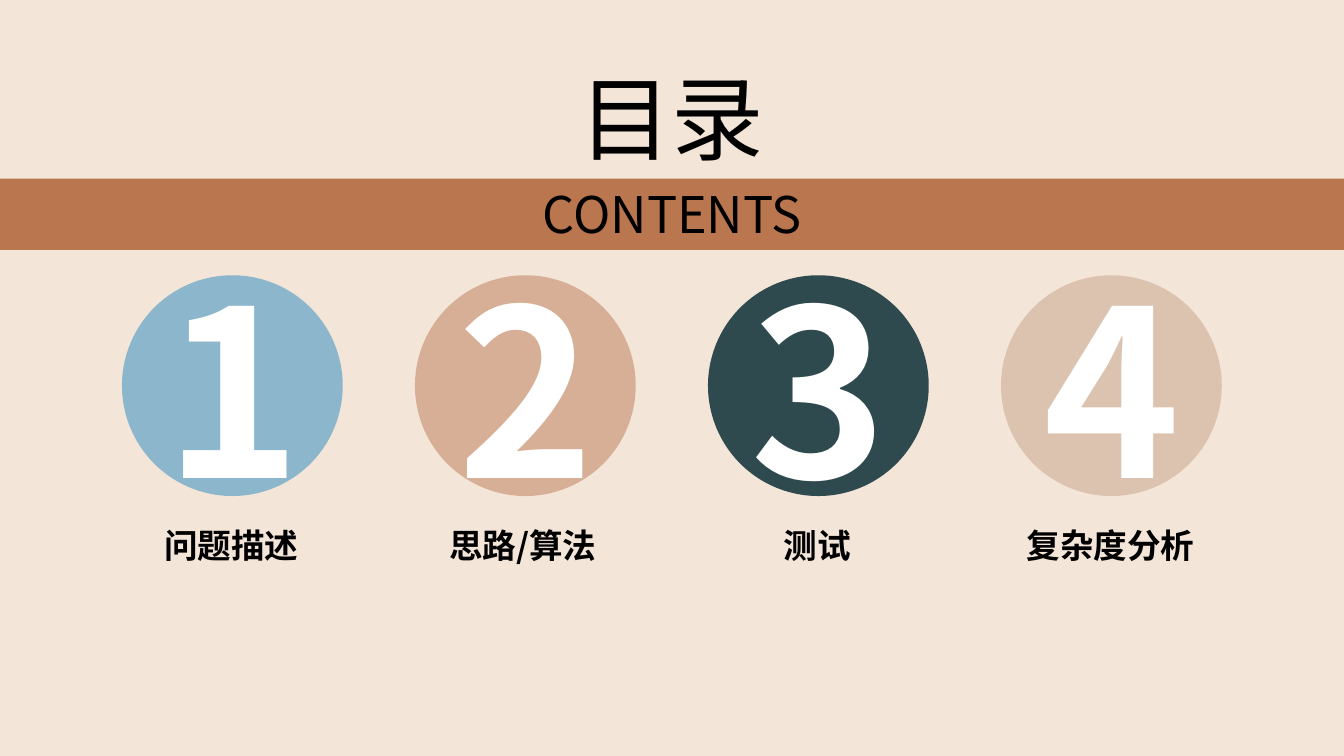
from lxml.etree import SubElement
from pptx import Presentation
from pptx.dml.color import RGBColor
from pptx.enum.shapes import MSO_SHAPE
from pptx.enum.text import MSO_ANCHOR, PP_ALIGN
from pptx.oxml.ns import qn
from pptx.util import Pt

# Content: number, label, label width, circle colour, opacity in percent
TITLE = "目录"
SUBTITLE = "CONTENTS"
CHAPTERS = [
    ("1", "问题描述", 111.6, "blue", 100),
    ("2", "思路/算法", 123.1, "rust", 48),
    ("3", "测试", 63.4, "teal", 100),
    ("4", "复杂度分析", 135.4, "sand", 48),
]
COLORS = {
    "background": "F3E5D8",
    "blue": "8BB6CB",
    "rust": "BA764F",
    "teal": "2E4A4E",
    "sand": "C5A086",
    "black": "000000",
    "white": "FFFFFF",
}
FONT = "Noto Sans CJK SC"

# Layout in points
SLIDE_WIDTH, SLIDE_HEIGHT = 960, 540
CIRCLE_SIZE, CIRCLE_TOP = 157.7, 196.6
CIRCLE_LEFT, CIRCLE_STEP = 87.1, 209.3
LABEL_TOP, LABEL_HEIGHT = 371.5, 36


def color(name):
    return RGBColor.from_string(COLORS[name])


def write_text(shape, text, size, color_name="black", bold=False,
               align=PP_ALIGN.CENTER, anchor=MSO_ANCHOR.TOP):
    frame = shape.text_frame
    frame.word_wrap = True
    frame.vertical_anchor = anchor
    paragraph = frame.paragraphs[0]
    paragraph.alignment = align
    run = paragraph.add_run()
    run.text = text
    run.font.size = Pt(size)
    run.font.bold = bold
    run.font.name = FONT
    run.font.color.rgb = color(color_name)
    SubElement(run.font._element, qn("a:ea"), typeface=FONT)


def add_filled_shape(kind, left, top, width, height, color_name, opacity=100):
    shape = slide.shapes.add_shape(kind, Pt(left), Pt(top), Pt(width), Pt(height))
    shape.shadow.inherit = False
    shape.line.fill.background()
    shape.fill.solid()
    shape.fill.fore_color.rgb = color(color_name)
    if opacity < 100:
        fill_color = shape._element.spPr.find(qn("a:solidFill"))[0]
        SubElement(fill_color, qn("a:alpha"), val=str(opacity * 1000))
    return shape


def add_text_box(left, top, width, height):
    return slide.shapes.add_textbox(Pt(left), Pt(top), Pt(width), Pt(height))


presentation = Presentation()
presentation.slide_width = Pt(SLIDE_WIDTH)
presentation.slide_height = Pt(SLIDE_HEIGHT)
slide = presentation.slides.add_slide(presentation.slide_layouts[6])
slide.background.fill.solid()
slide.background.fill.fore_color.rgb = color("background")

# Title and band
write_text(add_text_box(375.1, 40.3, 209.5, 87.1), TITLE, 66)
band = add_filled_shape(MSO_SHAPE.RECTANGLE, 0, 127.6, SLIDE_WIDTH, 51, "rust")
write_text(band, SUBTITLE, 36)

# Numbered circles, each with a label box centred below
for index, (number, label, label_width, fill, opacity) in enumerate(CHAPTERS):
    left = CIRCLE_LEFT + index * CIRCLE_STEP
    circle = add_filled_shape(MSO_SHAPE.OVAL, left, CIRCLE_TOP, CIRCLE_SIZE,
                              CIRCLE_SIZE, fill, opacity)
    write_text(circle, number, 166, "white", bold=True, anchor=MSO_ANCHOR.MIDDLE)
    label_left = left + (CIRCLE_SIZE - label_width) / 2
    label_box = add_text_box(label_left, LABEL_TOP, label_width, LABEL_HEIGHT)
    write_text(label_box, label, 24, bold=True, align=PP_ALIGN.LEFT)

presentation.save("out.pptx")
